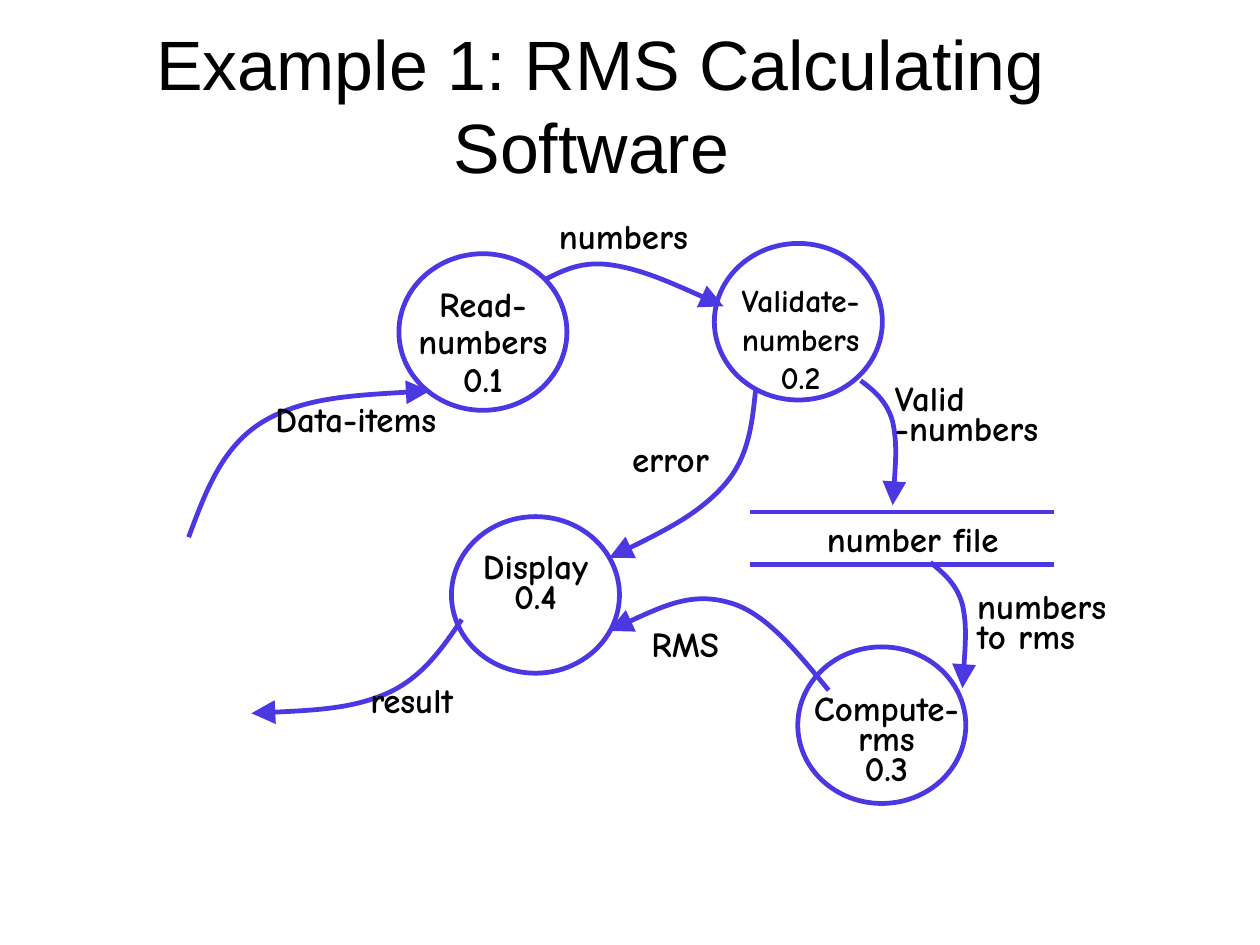
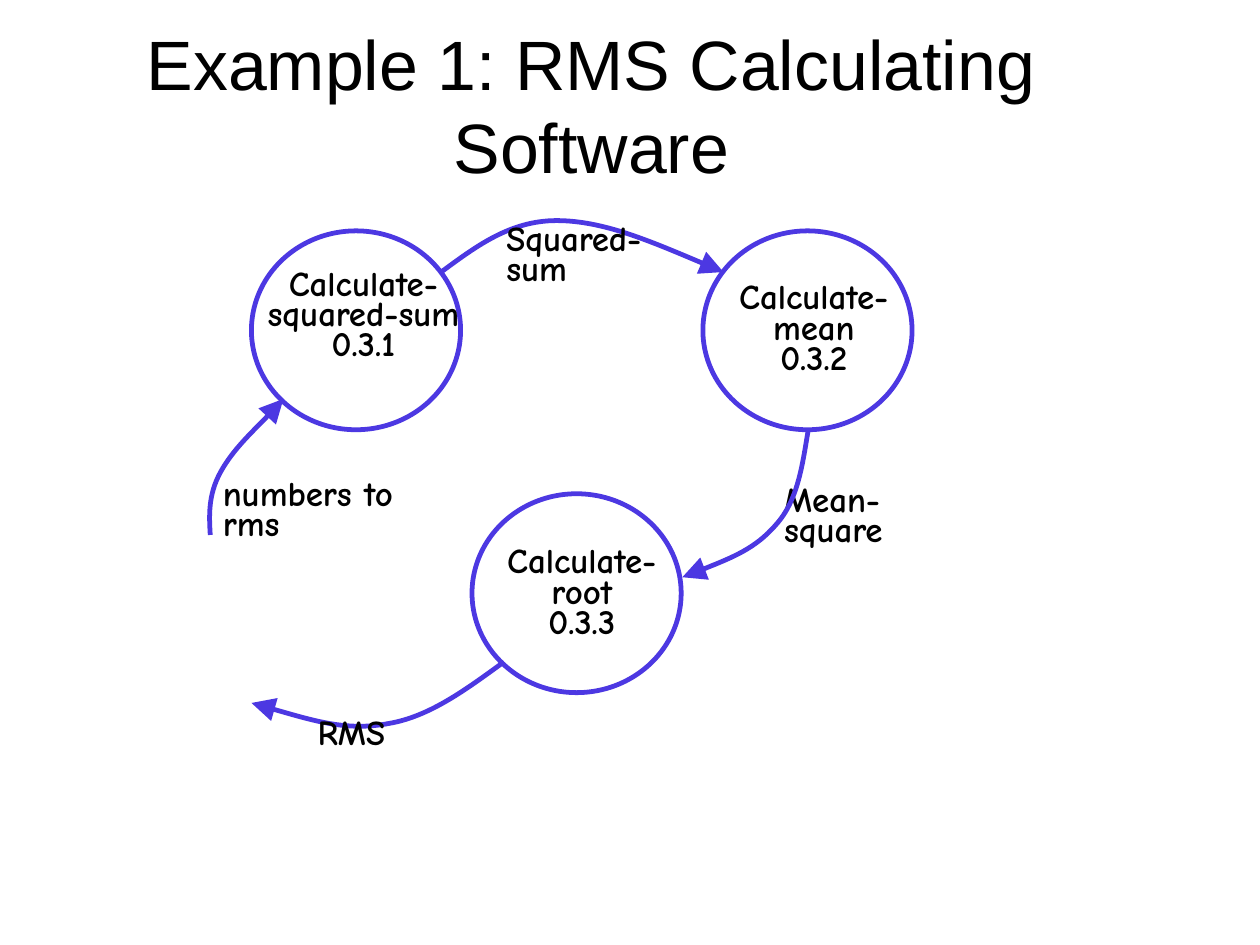
from dataclasses import dataclass
from typing import Union

from lxml.etree import SubElement
from pptx import Presentation
from pptx.dml.color import RGBColor
from pptx.enum.shapes import MSO_CONNECTOR, MSO_SHAPE
from pptx.enum.text import MSO_ANCHOR, MSO_AUTO_SIZE, PP_ALIGN
from pptx.oxml.ns import qn
from pptx.util import Cm, Inches, Pt

INK = RGBColor(0x00, 0x00, 0x00)
VIOLET = RGBColor(0x4C, 0x38, 0xE2)
TITLE_FONT = "Arial"
DIAGRAM_FONT = "Comic Neue"
LINE_WIDTH = Pt(3)
TITLE_ONLY = 5
Point = tuple[float, float]


@dataclass
class Caption:
    text: str
    left: float
    top: float
    width: float = 1.47
    height: float = 0.62
    align: PP_ALIGN = PP_ALIGN.LEFT
    size: int = 22
    spacing: float = 0.72
    space_before: float = 12.5


@dataclass
class Process:
    left: float
    top: float
    width: float
    height: float


@dataclass
class Flow:
    """A start point, then two control points and an end point per curve."""
    points: list[Point]


@dataclass
class Rule:
    left: float
    right: float
    top: float


Element = Union[Caption, Process, Flow, Rule]


def small_process(left: float, top: float) -> Process:
    return Process(left, top, 1.47, 1.37)


def large_process(left: float, top: float) -> Process:
    return Process(left, top, 1.83, 1.74)


def process_name(text: str, left: float, top: float, width: float = 1.47,
                 **style) -> Caption:
    return Caption(text, left, top, width, 1.21, PP_ALIGN.CENTER, **style)


def set_frame(frame, anchor: MSO_ANCHOR) -> None:
    frame.word_wrap = True
    frame.auto_size = MSO_AUTO_SIZE.NONE
    frame.vertical_anchor = anchor
    frame.margin_left = frame.margin_right = Inches(0.02)
    frame.margin_top = frame.margin_bottom = Inches(0.06)


def set_outline(shape) -> None:
    shape.shadow.inherit = False
    shape.fill.background()
    shape.line.color.rgb = VIOLET
    shape.line.width = LINE_WIDTH


def set_title(page, text: str) -> None:
    title = page.shapes.title
    title.left, title.top = Inches(0.49), Inches(0.21)
    title.width, title.height = Inches(9.37), Inches(1.4)
    set_frame(title.text_frame, MSO_ANCHOR.MIDDLE)
    para = title.text_frame.paragraphs[0]
    para.text = text
    para.alignment = PP_ALIGN.CENTER
    para.space_before = Pt(7.5)
    para.font.name = TITLE_FONT
    para.font.size = Pt(44)
    para.font.color.rgb = INK


def draw_caption(page, caption: Caption) -> None:
    box = page.shapes.add_textbox(Inches(caption.left), Inches(caption.top),
                                  Inches(caption.width), Inches(caption.height))
    set_frame(box.text_frame, MSO_ANCHOR.TOP)
    para = box.text_frame.paragraphs[0]
    para.text = caption.text
    para.alignment = caption.align
    para.line_spacing = caption.spacing
    para.space_before = Pt(caption.space_before)
    para.font.name = DIAGRAM_FONT
    para.font.size = Pt(caption.size)
    para.font.bold = True
    para.font.color.rgb = INK


def draw_process(page, process: Process) -> None:
    set_outline(page.shapes.add_shape(
        MSO_SHAPE.OVAL, Inches(process.left), Inches(process.top),
        Inches(process.width), Inches(process.height)))


def draw_flow(page, flow: Flow) -> None:
    """Draw a curved arrow, turning each three segments into one Bézier curve."""
    start, *others = [(Inches(x), Inches(y)) for x, y in flow.points]
    builder = page.shapes.build_freeform(*start)
    builder.add_line_segments(others, close=False)
    arrow = builder.convert_to_shape()
    set_outline(arrow)
    outline = arrow.element.find(".//" + qn("a:path"))
    segments = outline.findall(qn("a:lnTo"))
    for first in range(0, len(segments), 3):
        curve = SubElement(outline, qn("a:cubicBezTo"))
        for segment in segments[first:first + 3]:
            curve.append(segment[0])
            outline.remove(segment)
    SubElement(arrow.element.spPr.find(qn("a:ln")), qn("a:tailEnd"),
               type="triangle", w="lg", len="lg")


def draw_rule(page, rule: Rule) -> None:
    line = page.shapes.add_connector(
        MSO_CONNECTOR.STRAIGHT, Inches(rule.left), Inches(rule.top),
        Inches(rule.right), Inches(rule.top))
    line.line.color.rgb = VIOLET
    line.line.width = LINE_WIDTH
    SubElement(line.element.spPr, qn("a:effectLst"))


DRAWERS = {Caption: draw_caption, Process: draw_process,
           Flow: draw_flow, Rule: draw_rule}

RMS_OVERVIEW: list[Element] = [
    small_process(3.49, 2.22),
    small_process(3.95, 4.52),
    small_process(6.25, 2.13),
    small_process(6.98, 5.66),
    Flow([(1.65, 4.7), (1.8, 4.3), (1.94, 3.91), (2.3, 3.69),
          (2.65, 3.48), (3.2, 3.45), (3.76, 3.42)]),
    Caption("Data-items", 2.39, 3.51, height=0.84),
    Flow([(4.78, 2.44), (4.94, 2.36), (5.1, 2.28), (5.36, 2.32),
          (5.62, 2.36), (5.98, 2.52), (6.33, 2.68)]),
    Flow([(7.53, 3.33), (7.65, 3.42), (7.76, 3.51), (7.81, 3.69),
          (7.85, 3.88), (7.83, 4.15), (7.81, 4.42)]),
    Flow([(7.25, 6.04), (6.97, 5.7), (6.69, 5.35), (6.37, 5.27),
          (6.05, 5.18), (5.69, 5.35), (5.33, 5.52)]),
    Flow([(4.04, 5.42), (3.87, 5.67), (3.7, 5.92), (3.4, 6.06),
          (3.09, 6.2), (2.65, 6.22), (2.2, 6.24)]),
    Caption("result", 3.22, 5.97, 1.1, 0.48),
    process_name("Read-numbers\n0.1", 3.49, 2.45, spacing=0.9, space_before=13),
    process_name("Validate-numbers\n0.2", 6.27, 2.4,
                 size=20, spacing=1.0, space_before=13),
    process_name("Compute-rms\n0.3", 7.02, 6.04),
    process_name("Display\n0.4", 3.95, 4.8),
    Caption("RMS", 5.68, 5.48, 1.1, 0.48),
    Caption("numbers", 4.87, 1.91, height=0.47),
    Caption("Valid -numbers", 7.81, 3.33),
    Flow([(6.61, 3.42), (6.58, 3.71), (6.55, 4), (6.34, 4.24),
          (6.12, 4.49), (5.73, 4.69), (5.33, 4.88)]),
    Caption("error", 5.51, 3.86, height=0.48),
    Rule(6.56, 9.22, 4.48),
    Rule(6.56, 9.22, 4.94),
    Caption("number file", 6.63, 4.56, 2.71, 0.36, PP_ALIGN.CENTER),
    Flow([(8.14, 4.92), (8.26, 5.02), (8.37, 5.11), (8.42, 5.29),
          (8.46, 5.47), (8.44, 5.75), (8.42, 6.02)]),
    Caption("numbers to rms", 8.53, 5.15),
]

COMPUTE_RMS: list[Element] = [
    large_process(2.2, 2.02),
    large_process(4.13, 4.32),
    large_process(6.15, 2.02),
    process_name("Calculate-squared-sum\n0.3.1", 2.31, 2.32, 1.74),
    process_name("Calculate-mean\n0.3.2", 6.25, 2.44, 1.74),
    process_name("Calculate-root\n0.3.3", 4.22, 4.75, 1.74),
    Flow([(1.84, 4.68), (1.83, 4.51), (1.82, 4.33), (1.93, 4.13),
          (2.04, 3.93), (2.39, 3.6), (2.48, 3.49)]),
    Caption("numbers to rms", 1.93, 4.16, 1.87, 0.39),
    Flow([(3.86, 2.38), (4.16, 2.16), (4.46, 1.93), (4.87, 1.93),
          (5.28, 1.93), (5.81, 2.16), (6.33, 2.38)]),
    Caption("Squared-sum", 4.41, 1.93, height=0.84),
    Flow([(4.41, 5.79), (4.08, 6.03), (3.76, 6.27), (3.4, 6.33),
          (3.03, 6.4), (2.62, 6.27), (2.2, 6.15)]),
    Caption("RMS", 2.76, 6.25, 1.1, 0.47),
    Caption("Mean-square", 6.84, 4.21, 1.24, 0.84),
    Flow([(7.07, 3.77), (7.02, 4.07), (6.98, 4.38), (6.79, 4.59),
          (6.61, 4.8), (6.29, 4.93), (5.97, 5.05)]),
]

PAGES = [
    (" Example 1: RMS Calculating Software", RMS_OVERVIEW),
    ("Example 1: RMS Calculating Software", COMPUTE_RMS),
]


def main() -> None:
    deck = Presentation()
    deck.slide_width = Cm(28)
    deck.slide_height = Cm(21)
    for title, elements in PAGES:
        page = deck.slides.add_slide(deck.slide_layouts[TITLE_ONLY])
        set_title(page, title)
        for element in elements:
            DRAWERS[type(element)](page, element)
    deck.save("out.pptx")


if __name__ == "__main__":
    main()
